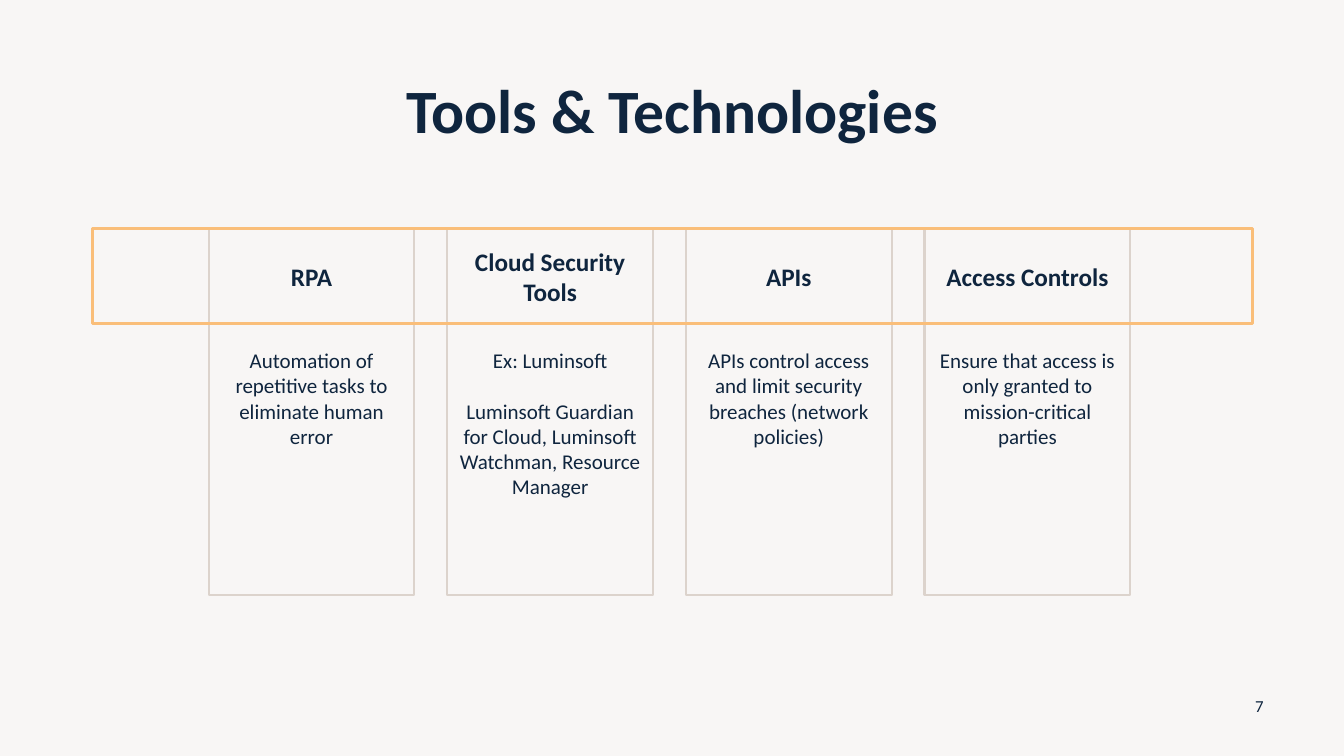
from typing import NamedTuple

from pptx import Presentation
from pptx.dml.color import RGBColor
from pptx.enum.shapes import MSO_SHAPE as Shape
from pptx.enum.text import MSO_ANCHOR as Anchor, PP_ALIGN as Align
from pptx.util import Inches, Pt

NAVY = RGBColor(0x0F, 0x25, 0x3E)
SAND = RGBColor(0xDC, 0xD3, 0xCC)
PALE_SAND = RGBColor(0xF8, 0xF6, 0xF5)
ORANGE = RGBColor(0xFA, 0xBE, 0x79)

FIRST_LEFT, LAST_LEFT = 2.07, 9.17
COLUMN_WIDTH = 2.04
HEADER_TOP, HEADER_HEIGHT = 2.27, 0.94
BODY_TOP, BODY_HEIGHT = 3.21, 2.69


class Box(NamedTuple):
    left: float
    top: float
    width: float
    height: float

    def emu(self) -> list:
        return [Inches(v) for v in self]


class Tool(NamedTuple):
    name: str
    notes: list[str]


TITLE_BOX = Box(0.92, 0.4, 11.5, 1.45)
BAND_BOX = Box(0.92, HEADER_TOP, 11.5, HEADER_HEIGHT)
NUMBER_BOX = Box(12.24, 6.8, 0.5, 0.4)

TITLE_FONT = {"name": "Calibri", "size": Pt(44), "bold": True}
HEADER_FONT = {"name": "Calibri", "size": Pt(18), "bold": True}
BODY_FONT = {"name": "Calibri", "size": Pt(15), "bold": False}
NUMBER_FONT = {"name": "Calibri", "size": Pt(12), "bold": False}

MIDDLE_FRAME = {
    "word_wrap": True,
    "vertical_anchor": Anchor.MIDDLE,
    "margin_left": Inches(0.1),
    "margin_right": Inches(0.1),
    "margin_top": Inches(0.05),
    "margin_bottom": Inches(0.05),
}
BODY_FRAME = MIDDLE_FRAME | {
    "vertical_anchor": Anchor.TOP,
    "margin_top": Inches(0.24),
}

TOOLS = [
    Tool("RPA", ["Automation of repetitive tasks to eliminate human error"]),
    Tool("Cloud Security Tools", [
        "Ex: Luminsoft",
        "Luminsoft Guardian for Cloud, Luminsoft Watchman, Resource Manager",
    ]),
    Tool("APIs", [
        "APIs control access and limit security breaches (network policies)",
    ]),
    Tool("Access Controls", [
        "Ensure that access is only granted to mission-critical parties",
    ]),
]


def apply(target, values: dict) -> None:
    for name, value in values.items():
        setattr(target, name, value)


def write(sp, texts: list[str], font: dict, frame: dict) -> None:
    tf = sp.text_frame
    apply(tf, frame)
    for i, text in enumerate(texts):
        p = tf.add_paragraph() if i else tf.paragraphs[0]
        p.alignment = Align.CENTER
        if i:
            p.space_before = Pt(18)
        r = p.add_run()
        r.text = text
        apply(r.font, font)
        r.font.color.rgb = NAVY


def add_outline(slide, box: Box, color: RGBColor, weight: float):
    sp = slide.shapes.add_shape(Shape.RECTANGLE, *box.emu())
    sp.shadow.inherit = False
    sp.fill.background()
    sp.line.color.rgb = color
    sp.line.width = Pt(weight)
    return sp


def add_tool(slide, tool: Tool, left: float) -> None:
    header_box = Box(left, HEADER_TOP, COLUMN_WIDTH, HEADER_HEIGHT)
    body_box = Box(left, BODY_TOP, COLUMN_WIDTH, BODY_HEIGHT)
    header = add_outline(slide, header_box, SAND, 1.5)
    write(header, [tool.name], HEADER_FONT, MIDDLE_FRAME)
    body = add_outline(slide, body_box, SAND, 1.5)
    write(body, tool.notes, BODY_FONT, BODY_FRAME)


def main() -> None:
    prs = Presentation()
    prs.slide_width, prs.slide_height = Inches(13.33), Inches(7.5)
    slide = prs.slides.add_slide(prs.slide_layouts[5])
    slide.background.fill.solid()
    slide.background.fill.fore_color.rgb = PALE_SAND

    title = slide.shapes.title
    title.left, title.top, title.width, title.height = TITLE_BOX.emu()
    write(title, ["Tools & Technologies"], TITLE_FONT, MIDDLE_FRAME)
    title.text_frame.paragraphs[0].line_spacing = 0.9

    pitch = (LAST_LEFT - FIRST_LEFT) / (len(TOOLS) - 1)
    for i, tool in enumerate(TOOLS):
        add_tool(slide, tool, FIRST_LEFT + i * pitch)
    add_outline(slide, BAND_BOX, ORANGE, 2.25)

    number = slide.shapes.add_textbox(*NUMBER_BOX.emu())
    write(number, ["7"], NUMBER_FONT, MIDDLE_FRAME)
    prs.save("out.pptx")


if __name__ == "__main__":
    main()
